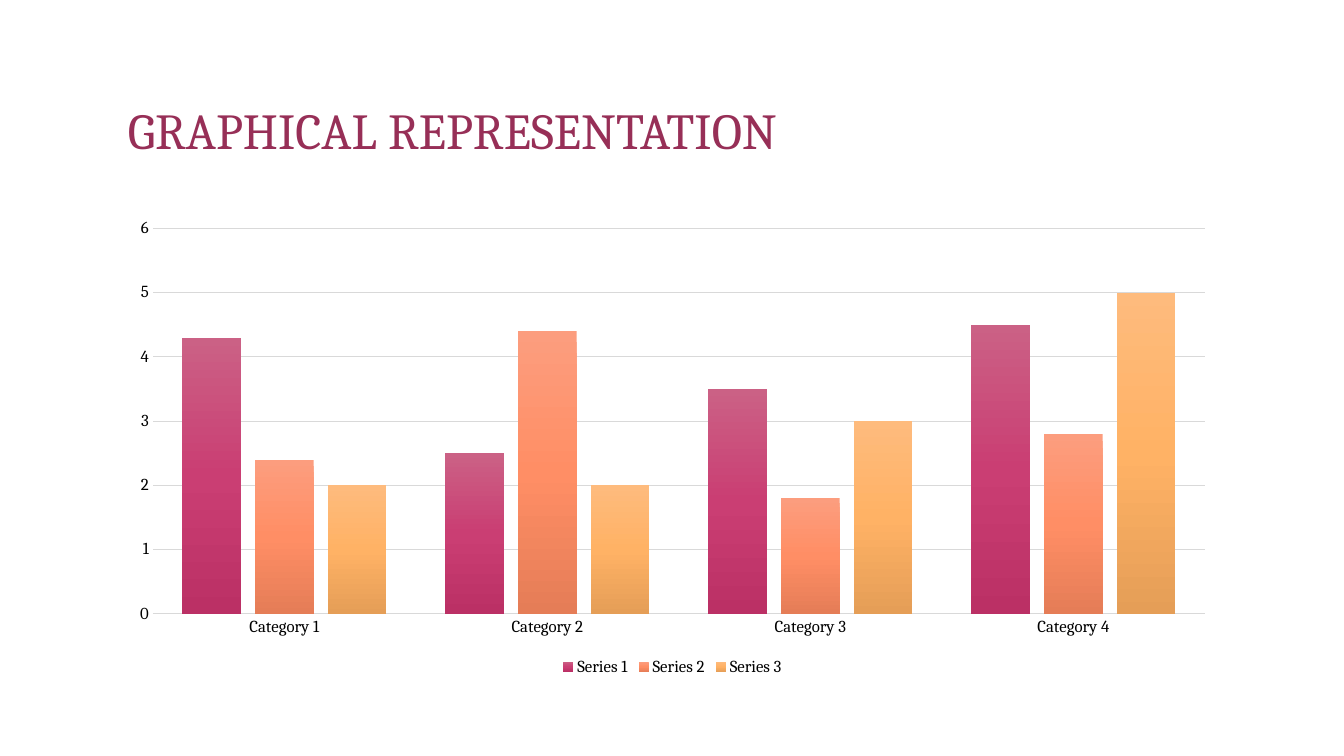
from lxml import etree
from pptx import Presentation
from pptx.chart.data import CategoryChartData
from pptx.dml.color import RGBColor
from pptx.enum.chart import XL_CHART_TYPE, XL_LEGEND_POSITION, XL_TICK_MARK
from pptx.enum.text import MSO_ANCHOR
from pptx.oxml import parse_xml
from pptx.util import Inches, Pt

TITLE = "GRAPHICAL REPRESENTATION"
CATS = ["Category 1", "Category 2", "Category 3", "Category 4"]
SERIES = [
    ("Series 1", (4.3, 2.5, 3.5, 4.5), ("CB6185", "CA3E73", "BB3065")),
    ("Series 2", (2.4, 4.4, 1.8, 2.8), ("FC9D7E", "FF8E65", "E57D57")),
    ("Series 3", (2, 2, 3, 5), ("FEBB7D", "FFB265", "E59E57")),
]
FONT = "Cambria"
PLUM = RGBColor(0x97, 0x2F, 0x57)
BLACK = RGBColor(0, 0, 0)
GRAY = RGBColor(0x59, 0x59, 0x59)
PALE = RGBColor(0xD9, 0xD9, 0xD9)
LEFT, WIDTH = Inches(1.17), Inches(11)
URI = "http://schemas.openxmlformats.org/drawingml/2006/main"


def style(font, size, color):
    font.name = FONT
    font.size = Pt(size)
    font.color.rgb = color


def rule(line):
    line.color.rgb = PALE
    line.width = Pt(0.75)


def shade(series, colors):
    series.format.fill.solid()
    solid = series.format.fill._xPr.find(f"{{{URI}}}solidFill")
    grad = parse_xml(f'<a:gradFill xmlns:a="{URI}" rotWithShape="1"/>')
    stops = etree.SubElement(grad, f"{{{URI}}}gsLst")
    for i, color in enumerate(colors):
        stop = etree.SubElement(stops, f"{{{URI}}}gs", pos=str(i * 50000))
        etree.SubElement(stop, f"{{{URI}}}srgbClr", val=color)
    etree.SubElement(grad, f"{{{URI}}}lin", ang="5400000", scaled="0")
    solid.getparent().replace(solid, grad)


def add_title(slide):
    box = slide.shapes.add_textbox(LEFT, Inches(0.5), WIDTH, Inches(1.14))
    frame = box.text_frame
    frame.word_wrap = True
    frame.vertical_anchor = MSO_ANCHOR.BOTTOM
    frame.text = TITLE
    para = frame.paragraphs[0]
    para.line_spacing = 0.9
    style(para.runs[0].font, 36, PLUM)


def add_bars(slide):
    data = CategoryChartData()
    data.categories = CATS
    for name, vals, _ in SERIES:
        data.add_series(name, vals)
    chart = slide.shapes.add_chart(
        XL_CHART_TYPE.COLUMN_CLUSTERED, LEFT, Inches(2.08), WIDTH, Inches(4.67), data
    ).chart
    style(chart.font, 10, GRAY)
    chart.has_title = False
    chart.has_legend = True
    chart.legend.position = XL_LEGEND_POSITION.BOTTOM
    chart.legend.include_in_layout = False
    style(chart.legend.font, 12, BLACK)

    plot = chart.plots[0]
    plot.vary_by_categories = False
    plot.gap_width = 100
    plot.overlap = -24
    for series, (_, _, colors) in zip(plot.series, SERIES):
        shade(series, colors)

    for axis in (chart.category_axis, chart.value_axis):
        axis.major_tick_mark = XL_TICK_MARK.NONE
        axis.minor_tick_mark = XL_TICK_MARK.NONE
        style(axis.tick_labels.font, 12, BLACK)
    rule(chart.category_axis.format.line)
    values = chart.value_axis
    values.minimum_scale, values.maximum_scale, values.major_unit = 0, 6, 1
    values.format.line.fill.background()
    values.has_major_gridlines = True
    rule(values.major_gridlines.format.line)


def main():
    deck = Presentation()
    deck.slide_width, deck.slide_height = Inches(13.33), Inches(7.5)
    slide = deck.slides.add_slide(deck.slide_layouts[6])
    add_title(slide)
    add_bars(slide)
    deck.save("out.pptx")


if __name__ == "__main__":
    main()
